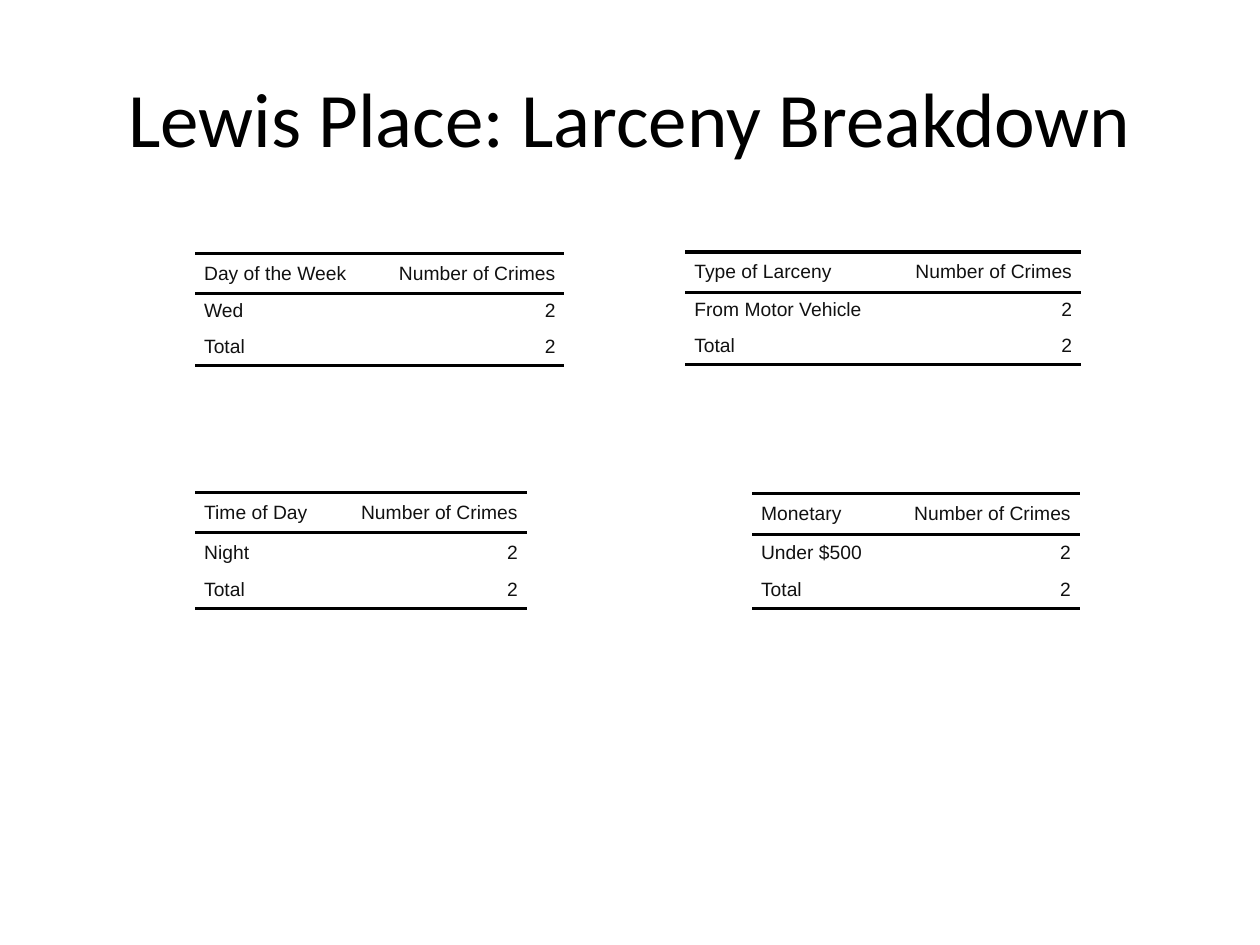
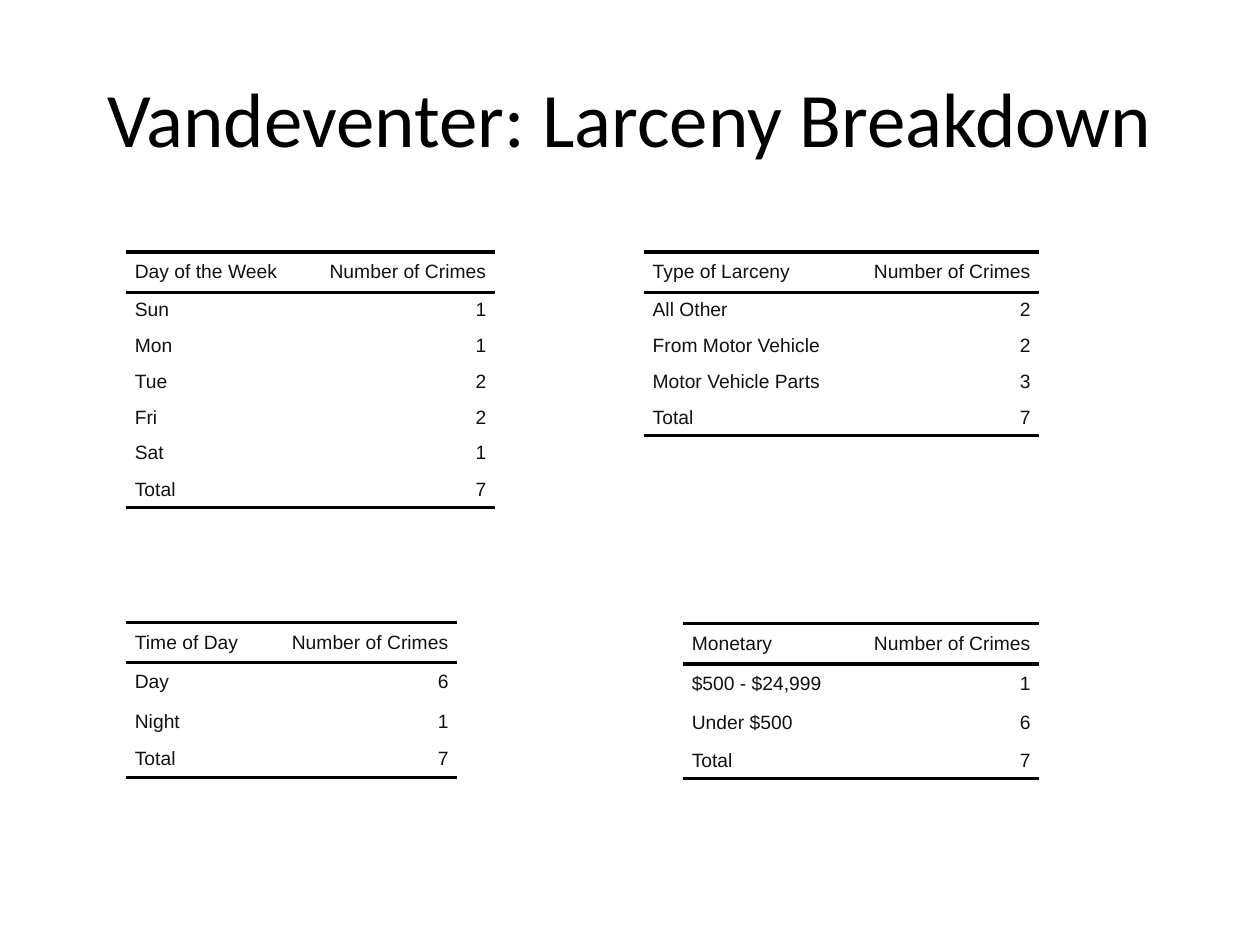
from lxml.etree import SubElement
from pptx import Presentation
from pptx.dml.color import RGBColor
from pptx.enum.text import MSO_ANCHOR, PP_ALIGN
from pptx.oxml import parse_xml
from pptx.oxml.ns import qn
from pptx.util import Inches, Pt

BLACK = RGBColor(0x00, 0x00, 0x00)
TABLE_TEXT = RGBColor(0x11, 0x11, 0x11)
TITLE_FONT, TABLE_FONT = "Calibri", "Arial"
DRAWING_NS = "http://schemas.openxmlformats.org/drawingml/2006/main"
NO_STYLE = "{2D5ABB26-0587-4C30-8999-92F81FD0307C}"

COUNT_WIDTH = 1.52
HEADER_HEIGHT, TOTAL_HEIGHT = 0.32, 0.29
CELL_INDENT = str(Inches(0.07))

# Each table: left, top, height, label column width, label heading, rows
SLIDES = [
    ("Lewis Place: Larceny Breakdown", [
        (1.55, 2.01, 0.89, 1.41, "Day of the Week", [("Wed", 2), ("Total", 2)]),
        (1.55, 3.91, 0.92, 1.11, "Time of Day", [("Night", 2), ("Total", 2)]),
        (5.44, 2.0, 0.89, 1.62, "Type of Larceny",
         [("From Motor Vehicle", 2), ("Total", 2)]),
        (5.97, 3.92, 0.91, 1.08, "Monetary", [("Under $500", 2), ("Total", 2)]),
    ]),
    ("Vandeventer: Larceny Breakdown", [
        (1.0, 2.0, 2.03, 1.41, "Day of the Week",
         [("Sun", 1), ("Mon", 1), ("Tue", 2), ("Fri", 2), ("Sat", 1), ("Total", 7)]),
        (1.0, 4.94, 1.23, 1.11, "Time of Day",
         [("Day", 6), ("Night", 1), ("Total", 7)]),
        (5.11, 2.0, 1.46, 1.62, "Type of Larceny",
         [("All Other", 2), ("From Motor Vehicle", 2),
          ("Motor Vehicle Parts", 3), ("Total", 7)]),
        (5.42, 4.95, 1.23, 1.31, "Monetary",
         [("$500 - $24,999", 1), ("Under $500", 6), ("Total", 7)]),
    ]),
]


def set_rules(cell, sides):
    """Draw black 2 pt rules on the given sides and none on the others."""
    properties = cell._tc.get_or_add_tcPr()
    for position, side in enumerate("LRTB"):
        width = Pt(2) if side in sides else 0
        line = parse_xml(f'<a:ln{side} xmlns:a="{DRAWING_NS}" w="{width}"/>')
        if side in sides:
            fill = SubElement(line, qn("a:solidFill"))
            SubElement(fill, qn("a:srgbClr"), val=str(BLACK))
        else:
            SubElement(line, qn("a:noFill"))
        properties.insert(position, line)


def add_crime_table(slide, left, top, height, label_width, heading, entries):
    rows = [(heading, "Number of Crimes")] + entries
    last = len(rows) - 1
    table = slide.shapes.add_table(
        len(rows), 2, Inches(left), Inches(top),
        Inches(label_width + COUNT_WIDTH), Inches(height)).table
    table.first_row = table.horz_banding = False
    table._tbl.tblPr.find(qn("a:tableStyleId")).text = NO_STYLE
    table.columns[0].width = Inches(label_width)
    table.columns[1].width = Inches(COUNT_WIDTH)

    # Rows between the header and the total share the remaining height
    middle_height = (height - HEADER_HEIGHT - TOTAL_HEIGHT) / (last - 1)
    heights = [HEADER_HEIGHT] + [middle_height] * (last - 1) + [TOTAL_HEIGHT]
    for row_index, values in enumerate(rows):
        table.rows[row_index].height = Inches(heights[row_index])
        sides = {0: "TB", 1: "T", last: "B"}.get(row_index, "")
        for column_index, value in enumerate(values):
            cell = table.cell(row_index, column_index)
            cell.margin_left = cell.margin_right = 0
            cell.margin_top = cell.margin_bottom = 0
            cell.vertical_anchor = MSO_ANCHOR.MIDDLE
            cell.fill.background()
            set_rules(cell, sides)
            paragraph = cell.text_frame.paragraphs[0]
            paragraph.text = str(value)
            paragraph.alignment = PP_ALIGN.RIGHT if column_index else PP_ALIGN.LEFT
            indents = paragraph._p.get_or_add_pPr()
            for name in ("marL", "marR"):
                indents.set(name, CELL_INDENT)
            font = paragraph.runs[0].font
            font.name, font.size = TABLE_FONT, Pt(11)
            font.color.rgb = TABLE_TEXT


presentation = Presentation()
presentation.slide_width, presentation.slide_height = Inches(10), Inches(7.5)

for title, tables in SLIDES:
    slide = presentation.slides.add_slide(presentation.slide_layouts[6])

    # Title
    title_box = slide.shapes.add_textbox(Inches(0.5), Inches(0.3), Inches(9), Inches(1.25))
    text_frame = title_box.text_frame
    text_frame.word_wrap = True
    text_frame.vertical_anchor = MSO_ANCHOR.MIDDLE
    text_frame.text = title
    paragraph = text_frame.paragraphs[0]
    paragraph.alignment = PP_ALIGN.CENTER
    font = paragraph.runs[0].font
    font.name, font.size = TITLE_FONT, Pt(44)
    font.color.rgb = BLACK

    # Crime counts
    for table_values in tables:
        add_crime_table(slide, *table_values)

presentation.save("out.pptx")
